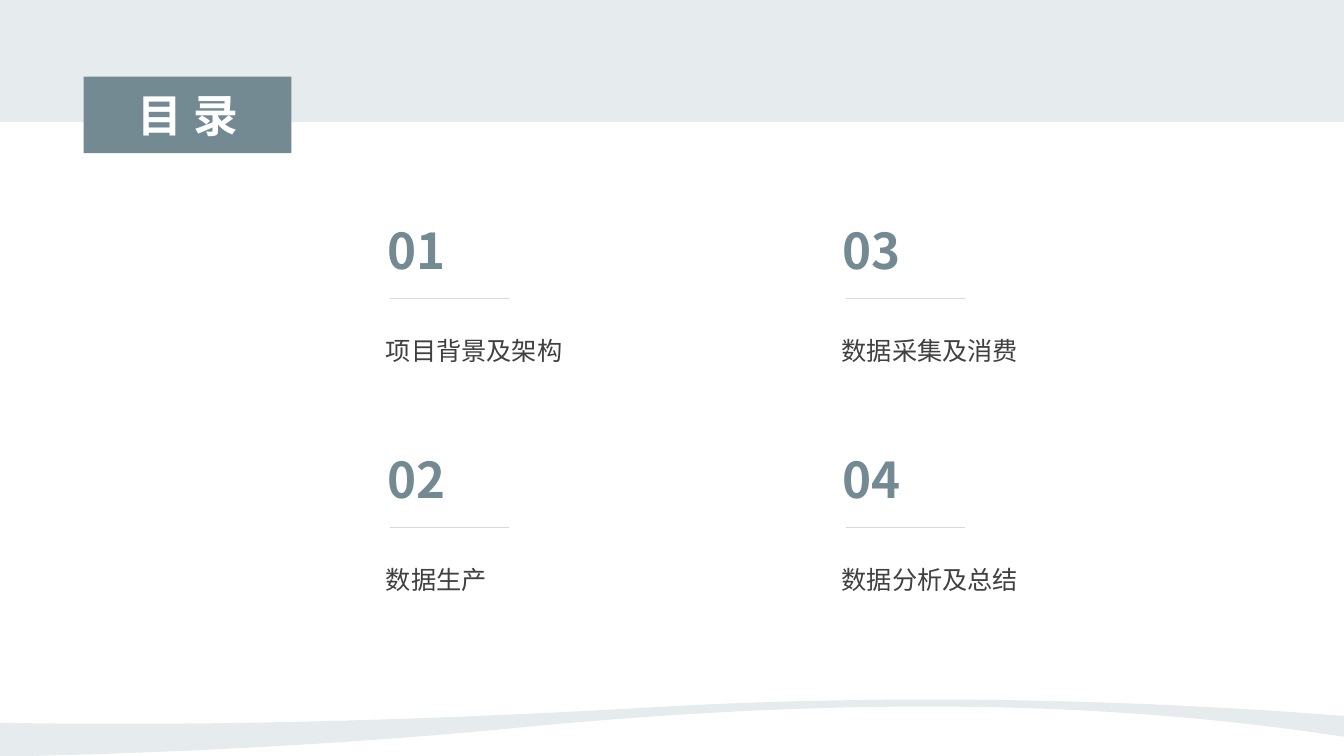
from dataclasses import dataclass

from lxml.etree import SubElement
from pptx import Presentation
from pptx.dml.color import RGBColor
from pptx.enum.shapes import MSO_CONNECTOR, MSO_SHAPE
from pptx.enum.text import MSO_ANCHOR, PP_ALIGN
from pptx.oxml.ns import qn
from pptx.util import Inches, Pt

FONT = "Noto Sans CJK SC"
PALE = RGBColor(0xE6, 0xEC, 0xEE)
SLATE = RGBColor(0x74, 0x8A, 0x92)
DARK = RGBColor(0x40, 0x40, 0x40)
RULE = RGBColor(0xD9, 0xD9, 0xD9)
WHITE = RGBColor(0xFF, 0xFF, 0xFF)

Point = tuple[float, float]

COLUMNS = (3.73, 8.25)
FIRST_ROW, ROW_PITCH = 2.14, 2.27
ROWS = 2


@dataclass
class Entry:
    number: str
    title: str
    left: float
    top: float


@dataclass
class Segment:
    """A cubic curve; without control points it is a straight line."""
    end: Point
    controls: tuple[Point, ...] = ()


TITLES = ("项目背景及架构", "数据生产", "数据采集及消费", "数据分析及总结")
ENTRIES = [
    Entry(f"{i + 1:02d}", title, COLUMNS[i // ROWS], FIRST_ROW + i % ROWS * ROW_PITCH)
    for i, title in enumerate(TITLES)
]

WAVE_START = (9.23, 6.94)
WAVE = (
    Segment((6.59, 7.01), ((8.4, 6.94), (7.51, 6.96))),
    Segment((1.34, 7.18), ((4.71, 7.12), (2.89, 7.18))),
    Segment((0.01, 7.17), ((0.87, 7.18), (0.43, 7.18))),
    Segment((0, 7.17)),
    Segment((0, 7.5)),
    Segment((0.3, 7.5)),
    Segment((4.93, 7.24), ((1.58, 7.47), (3.21, 7.4))),
    Segment((9.18, 7.01), ((6.44, 7.09), (7.84, 7.01))),
    Segment((13.33, 7.31), ((10.6, 7.01), (11.96, 7.1))),
    Segment((13.33, 7.1)),
    Segment((13.29, 7.1)),
    Segment(WAVE_START, ((12.65, 7.05), (11.12, 6.94))),
)


def paint(sp, color: RGBColor) -> None:
    sp.shadow.inherit = False
    sp.fill.solid()
    sp.fill.fore_color.rgb = color
    sp.line.fill.background()


def format_run(r, size: float, color: RGBColor, bold: bool = False) -> None:
    r.font.size = Pt(size)
    r.font.bold = bold
    r.font.color.rgb = color
    r.font.name = FONT
    SubElement(r.font._element, qn("a:ea")).set("typeface", FONT)


def add_wave(slide) -> None:
    builder = slide.shapes.build_freeform(*map(Inches, WAVE_START))
    builder.add_line_segments([tuple(map(Inches, segment.end)) for segment in WAVE])
    sp = builder.convert_to_shape()
    paint(sp, PALE)

    # Bend the straight segments that have control points
    lines = list(sp._element.iter(qn("a:lnTo")))
    for line, segment in zip(lines, WAVE):
        if segment.controls:
            line.tag = qn("a:cubicBezTo")
            for i, (x, y) in enumerate(segment.controls):
                pt = SubElement(line, qn("a:pt"))
                pt.set("x", str(Inches(x) - sp.left))
                pt.set("y", str(Inches(y) - sp.top))
                line.insert(i, pt)


def add_box(slide, left: float, top: float, width: float, height: float, color: RGBColor):
    sp = slide.shapes.add_shape(
        MSO_SHAPE.RECTANGLE, Inches(left), Inches(top), Inches(width), Inches(height))
    paint(sp, color)
    return sp


def add_text(slide, text: str, left: float, top: float, width: float, height: float,
             size: float, color: RGBColor, bold: bool = False):
    sp = slide.shapes.add_textbox(Inches(left), Inches(top), Inches(width), Inches(height))
    tf = sp.text_frame
    tf.word_wrap = True
    tf.text = text
    p = tf.paragraphs[0]
    format_run(p.runs[0], size, color, bold)
    return p


def add_entry(slide, entry: Entry) -> None:
    p = add_text(slide, entry.title, entry.left, entry.top + 0.99, 3.54, 1.05, 18, DARK)
    p.alignment = PP_ALIGN.JUSTIFY
    p.line_spacing = 1.5
    p.space_after = Pt(20)

    add_text(slide, entry.number, entry.left + 0.01, entry.top, 0.89, 0.84, 35.2, SLATE, True)

    y = Inches(entry.top + 0.82)
    line = slide.shapes.add_connector(
        MSO_CONNECTOR.STRAIGHT, Inches(entry.left + 1.32), y, Inches(entry.left + 0.14), y)
    line.line.color.rgb = RULE
    line.line.width = Pt(0.5)
    SubElement(line._element.spPr, qn("a:effectLst"))


def add_heading(slide) -> None:
    sp = add_box(slide, 0.83, 0.76, 2.06, 0.76, SLATE)
    tf = sp.text_frame
    tf.vertical_anchor = MSO_ANCHOR.MIDDLE
    tf.text = "目录"
    p = tf.paragraphs[0]
    p.alignment = PP_ALIGN.CENTER
    r = p.runs[0]
    format_run(r, 32, WHITE, True)
    r.font._element.set("spc", "800")


def main() -> None:
    prs = Presentation()
    prs.slide_width, prs.slide_height = Inches(13.33), Inches(7.5)
    slide = prs.slides.add_slide(prs.slide_layouts[6])

    # Background wave and top band
    add_wave(slide)
    add_box(slide, 0, 0, 13.33, 1.21, PALE)

    # Contents entries
    for entry in ENTRIES:
        add_entry(slide, entry)

    # Heading
    add_heading(slide)

    prs.save("out.pptx")


if __name__ == "__main__":
    main()
